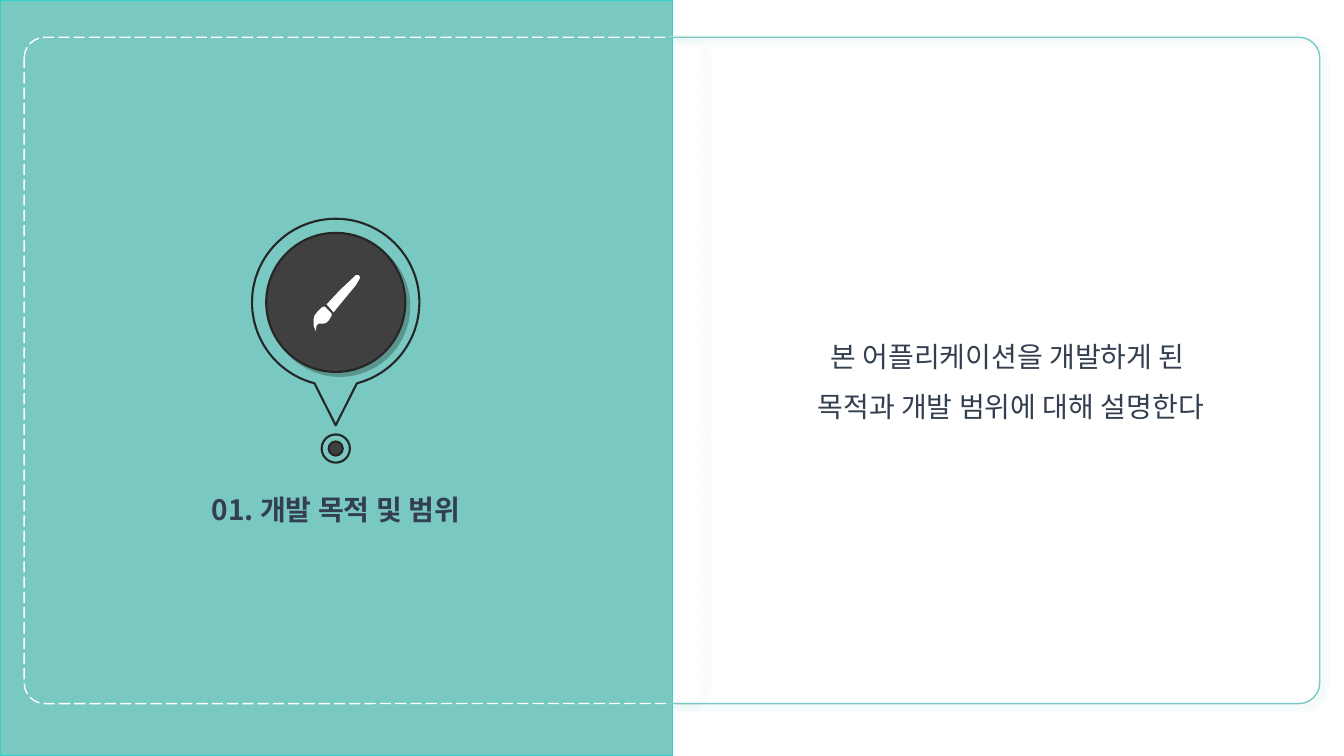
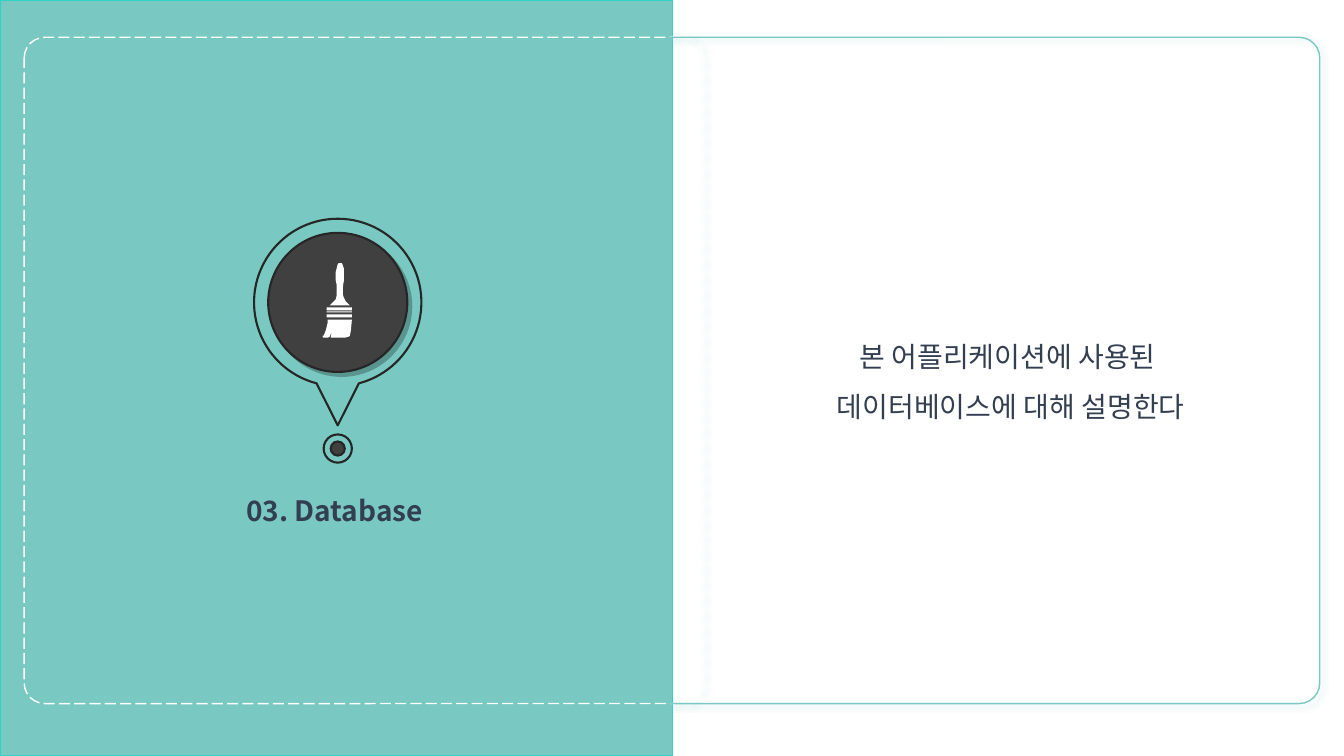
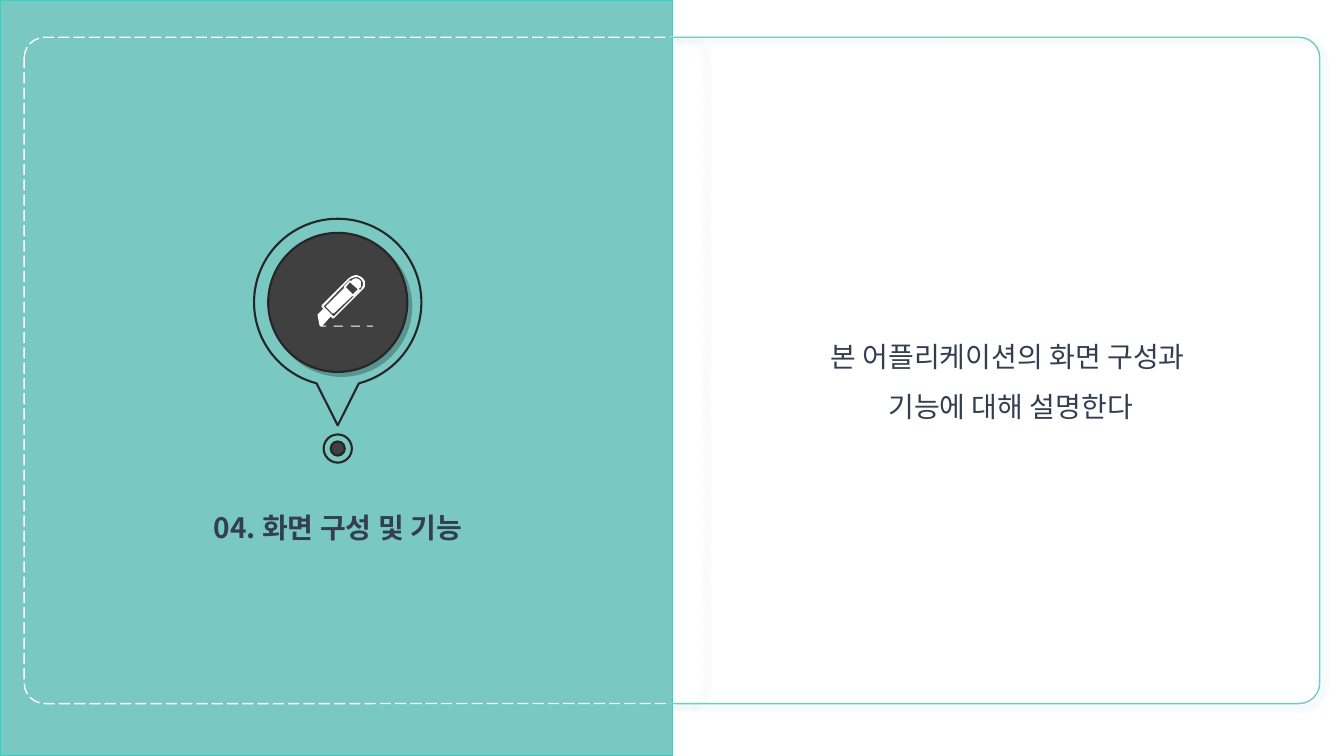
"""Build three section divider slides with a teal panel and an icon pin."""
from dataclasses import dataclass
from math import asin, cos, pi, sin
from typing import NamedTuple, Optional, Union

from lxml.etree import SubElement
from pptx import Presentation
from pptx.dml.color import RGBColor
from pptx.enum.dml import MSO_LINE_DASH_STYLE as Dash
from pptx.enum.shapes import MSO_SHAPE as Preset
from pptx.enum.text import MSO_ANCHOR as Anchor, MSO_AUTO_SIZE as AutoSize, PP_ALIGN as Align
from pptx.oxml.ns import qn
from pptx.shapes.autoshape import Shape
from pptx.shapes.shapetree import GroupShapes, SlideShapes
from pptx.slide import Slide, SlideLayout
from pptx.util import Inches, Pt

FONT = "Noto Sans CJK KR"
TEAL, BRIGHT_TEAL, WHITE = "79C9C2", "34D1C6", "FFFFFF"
CHARCOAL, OUTLINE, INK = "404040", "262626", "333F50"

Shapes = Union[SlideShapes, GroupShapes]
Point = tuple[float, float]
Contour = tuple[Point, ...]


class Box(NamedTuple):
    left: float
    top: float
    width: float
    height: float


class Line(NamedTuple):
    color: str
    width: float
    dash: Optional[Dash] = None


class Shadow(NamedTuple):
    color: str
    opacity: int
    blur: float
    distance: float


@dataclass(frozen=True)
class Icon:
    outlines: tuple[tuple[Contour, ...], ...]
    bars: tuple[Box, ...] = ()


@dataclass(frozen=True)
class Section:
    title: str
    title_box: Box
    pin_center: float
    description: str
    icon: Icon


PANEL = Box(0, 0, 6.67, 7.5)
LEFT_FRAME = Box(0.24, 0.37, 6.73, 6.61)
RIGHT_FRAME = Box(6.49, 0.37, 6.6, 6.61)
DESCRIPTION_BOX = Box(7.72, 3.15, 4.61, 1.07)
FRAME_SHADOW = Shadow(TEAL, 40, 4, 3)
DISC_SHADOW = Shadow("000000", 25, 0, 4)
PIN_LINE = Line(OUTLINE, 1.5)

PIN_CENTER_Y, PIN_RADIUS = 3.0, 0.83
PIN_TIP_Y, PIN_NECK = 4.22, 0.21
DOT_CENTER_Y = 4.45
ARC_STEPS = 90

ARTIST_BRUSH = Icon((
    (((3.31, 3.1), (3.24, 3.02), (3.37, 2.88), (3.53, 2.73), (3.56, 2.73), (3.57, 2.75),
      (3.57, 2.76), (3.53, 2.83), (3.34, 3.06)),),
    (((3.13, 3.29), (3.14, 3.23), (3.16, 3.21), (3.21, 3.21), (3.24, 3.2), (3.26, 3.18),
      (3.29, 3.13), (3.29, 3.11), (3.22, 3.04), (3.19, 3.05), (3.15, 3.09), (3.12, 3.13),
      (3.11, 3.17), (3.11, 3.23), (3.13, 3.28)),),
))

FLAT_BRUSH = Icon(
    (
        (((3.27, 3.03), (3.47, 3.03), (3.43, 2.99), (3.41, 2.95), (3.4, 2.92), (3.4, 2.85),
          (3.41, 2.79), (3.41, 2.66), (3.4, 2.63), (3.39, 2.61), (3.36, 2.61), (3.35, 2.62),
          (3.34, 2.66), (3.33, 2.7), (3.33, 2.78), (3.34, 2.83), (3.34, 2.93), (3.33, 2.97),
          (3.3, 3.0)),),
        (((3.2, 3.33), (3.2, 3.34), (3.21, 3.35), (3.25, 3.35), (3.27, 3.34), (3.29, 3.29),
          (3.28, 3.35), (3.42, 3.35), (3.46, 3.34), (3.47, 3.33), (3.48, 3.28), (3.49, 3.17),
          (3.25, 3.17), (3.25, 3.2), (3.23, 3.28), (3.21, 3.33)),),
    ),
    tuple(Box(3.24, top, 0.25, height) for top, height in ((3.05, 0.03), (3.09, 0.01), (3.12, 0.03))),
)

CUTTER = Icon(
    (
        (
            ((3.18, 3.24), (3.23, 3.24), (3.24, 3.23), (3.2, 3.23), (3.28, 3.14), (3.3, 3.16),
             (3.31, 3.16), (3.59, 2.88), (3.61, 2.86), (3.62, 2.84), (3.62, 2.79), (3.6, 2.76),
             (3.57, 2.74), (3.54, 2.73), (3.52, 2.73), (3.49, 2.74), (3.46, 2.76), (3.19, 3.03),
             (3.19, 3.05), (3.21, 3.06), (3.15, 3.12), (3.15, 3.13), (3.17, 3.23)),
            ((3.47, 2.77), (3.49, 2.76), (3.52, 2.75), (3.55, 2.75), (3.58, 2.77), (3.6, 2.8),
             (3.6, 2.83), (3.58, 2.87), (3.31, 3.14), (3.21, 3.04)),
        ),
        (
            ((3.3, 3.11), (3.31, 3.11), (3.49, 2.94), (3.51, 2.94), (3.57, 2.88), (3.56, 2.86),
             (3.58, 2.85), (3.58, 2.79), (3.56, 2.77), (3.53, 2.76), (3.5, 2.77), (3.48, 2.79),
             (3.47, 2.78), (3.41, 2.84), (3.41, 2.86), (3.23, 3.04)),
            ((3.47, 2.8), (3.55, 2.87), (3.5, 2.92), (3.43, 2.85)),
        ),
    ),
    tuple(Box(left, 3.23, width, 0.01) for left, width in ((3.31, 0.09), (3.48, 0.09), (3.64, 0.06))),
)

SECTIONS = (
    Section("01. 개발 목적 및 범위", Box(1.82, 4.67, 3.02, 0.56), 3.33,
            "본 어플리케이션을 개발하게 된 \n목적과 개발 범위에 대해 설명한다", ARTIST_BRUSH),
    Section("03. Database ", Box(2.09, 4.68, 2.52, 0.56), 3.35,
            "본 어플리케이션에 사용된 \n데이터베이스에 대해 설명한다", FLAT_BRUSH),
    Section("04. 화면 구성 및 기능", Box(1.82, 4.85, 3.06, 0.56), 3.35,
            "본 어플리케이션의 화면 구성과 \n기능에 대해 설명한다", CUTTER),
)


def rgb(color: str) -> RGBColor:
    return RGBColor.from_string(color)


def style_shape(shape: Shape, fill: Optional[str], line: Optional[Line],
                shadow: Optional[Shadow] = None) -> None:
    if fill:
        shape.fill.solid()
        shape.fill.fore_color.rgb = rgb(fill)
    else:
        shape.fill.background()
    if line:
        shape.line.color.rgb = rgb(line.color)
        shape.line.width = Pt(line.width)
        if line.dash:
            shape.line.dash_style = line.dash
    else:
        shape.line.fill.background()
    shape.shadow.inherit = False
    if shadow:
        effects = shape.element.spPr.find(qn("a:effectLst"))
        outer = SubElement(effects, qn("a:outerShdw"), blurRad=str(Pt(shadow.blur)),
                           dist=str(Pt(shadow.distance)), dir=str(45 * 60000),
                           algn="tl", rotWithShape="0")
        color = SubElement(outer, qn("a:srgbClr"), val=shadow.color)
        SubElement(color, qn("a:alpha"), val=str(shadow.opacity * 1000))


def add_preset(shapes: Shapes, preset: Preset, box: Box, fill: Optional[str] = None,
               line: Optional[Line] = None, shadow: Optional[Shadow] = None) -> Shape:
    shape = shapes.add_shape(preset, *(Inches(length) for length in box))
    style_shape(shape, fill, line, shadow)
    return shape


def add_frame(slide: Slide, box: Box, line: Line) -> None:
    frame = add_preset(slide.shapes, Preset.ROUNDED_RECTANGLE, box, line=line, shadow=FRAME_SHADOW)
    frame.adjustments[0] = 0.031


def add_circle(shapes: Shapes, center: Point, diameter: float, fill: Optional[str] = None,
               shadow: Optional[Shadow] = None) -> None:
    box = Box(center[0] - diameter / 2, center[1] - diameter / 2, diameter, diameter)
    add_preset(shapes, Preset.OVAL, box, fill, PIN_LINE, shadow)


def add_outline(shapes: Shapes, contours: tuple[Contour, ...], fill: Optional[str] = None,
                line: Optional[Line] = None) -> None:
    scaled = [[(Inches(x), Inches(y)) for x, y in contour] for contour in contours]
    builder = shapes.build_freeform(*scaled[0][0])
    for index, points in enumerate(scaled):
        if index:
            builder.move_to(*points[0])
        builder.add_line_segments(points[1:], close=True)
    style_shape(builder.convert_to_shape(), fill, line)


def pin_contour(center: float) -> Contour:
    neck = asin(PIN_NECK / PIN_RADIUS)
    angles = (neck + (2 * pi - 2 * neck) * step / ARC_STEPS for step in range(ARC_STEPS + 1))
    arc = ((center + PIN_RADIUS * sin(angle), PIN_CENTER_Y + PIN_RADIUS * cos(angle))
           for angle in angles)
    return ((center, PIN_TIP_Y), *arc)


def add_pin(slide: Slide, center: float, icon: Icon) -> None:
    shapes = slide.shapes.add_group_shape().shapes
    add_circle(shapes, (center, PIN_CENTER_Y), 1.38, CHARCOAL, DISC_SHADOW)
    add_outline(shapes, (pin_contour(center),), line=PIN_LINE)
    add_circle(shapes, (center, DOT_CENTER_Y), 0.28)
    add_circle(shapes, (center, DOT_CENTER_Y), 0.14, CHARCOAL)
    for contours in icon.outlines:
        add_outline(shapes, contours, WHITE)
    for bar in icon.bars:
        add_preset(shapes, Preset.RECTANGLE, bar, WHITE)


def fill_placeholder(placeholder: Shape, text: str, box: Box, bold: bool) -> None:
    placeholder.left, placeholder.top, placeholder.width, placeholder.height = (
        Inches(length) for length in box)
    text_frame = placeholder.text_frame
    text_frame.text = text
    text_frame.word_wrap = True
    text_frame.auto_size = AutoSize.SHAPE_TO_FIT_TEXT
    text_frame.vertical_anchor = Anchor.TOP
    for paragraph in text_frame.paragraphs:
        properties = paragraph._p.get_or_add_pPr()
        properties.set("marL", "0")
        properties.set("indent", "0")
        SubElement(properties, qn("a:buNone"))
        paragraph.alignment = Align.CENTER
        paragraph.line_spacing = 1.5
        paragraph.space_before = Pt(0)
        for run in paragraph.runs:
            run.font.size = Pt(20)
            run.font.bold = bold
            run.font.color.rgb = rgb(INK)
            run.font.name = FONT
            SubElement(run._r.get_or_add_rPr(), qn("a:ea"), typeface=FONT)
    placeholder.element.getparent().append(placeholder.element)


def add_section(presentation: Presentation, layout: SlideLayout, section: Section) -> None:
    slide = presentation.slides.add_slide(layout)
    add_preset(slide.shapes, Preset.RECTANGLE, PANEL, TEAL, Line(BRIGHT_TEAL, 1))
    add_frame(slide, LEFT_FRAME, Line(WHITE, 1, Dash.LONG_DASH))
    add_frame(slide, RIGHT_FRAME, Line(TEAL, 1))
    add_pin(slide, section.pin_center, section.icon)
    fill_placeholder(slide.shapes.title, section.title, section.title_box, True)
    fill_placeholder(slide.placeholders[1], section.description, DESCRIPTION_BOX, False)


def main() -> None:
    presentation = Presentation()
    presentation.slide_width, presentation.slide_height = Inches(13.33), Inches(7.5)
    layout = presentation.slide_layouts[1]
    for section in SECTIONS:
        add_section(presentation, layout, section)
    presentation.save("out.pptx")


if __name__ == "__main__":
    main()
